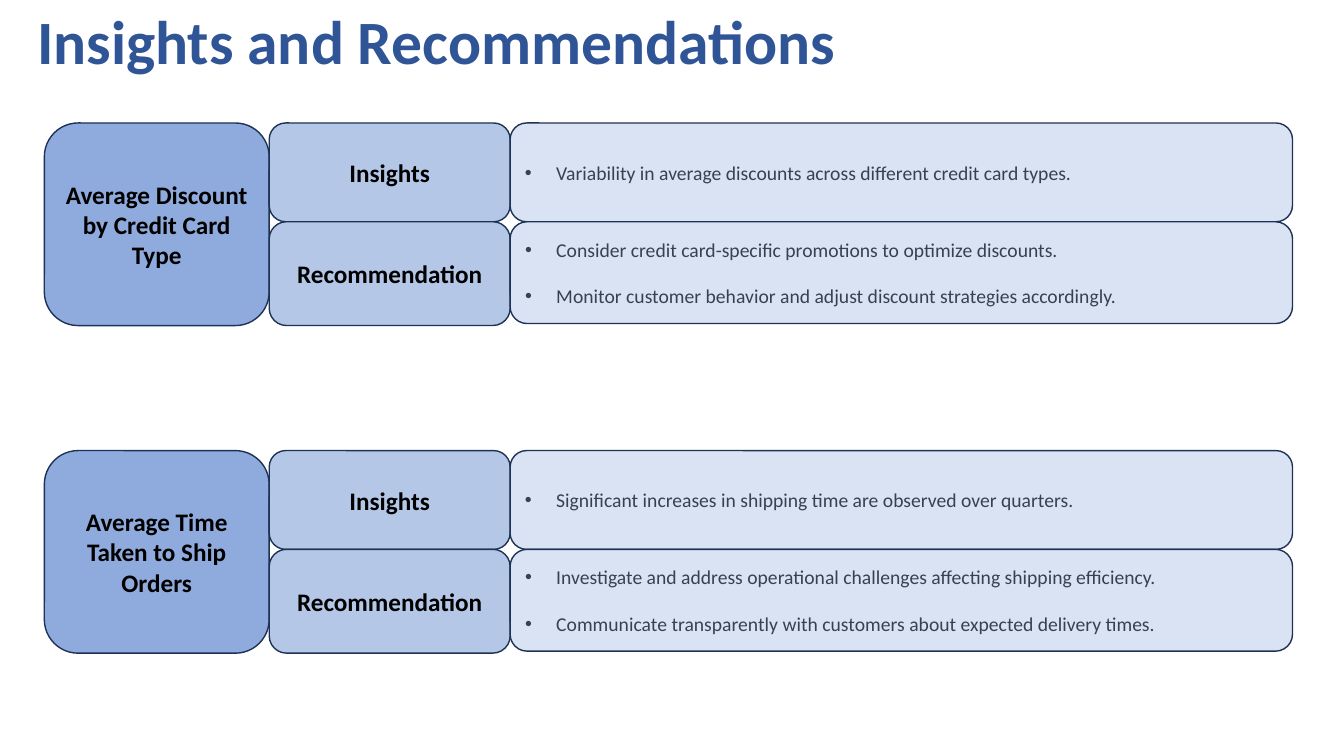
from pptx import Presentation
from pptx import util as u
from pptx.dml.color import RGBColor
from pptx.enum import shapes, text
from pptx.oxml import parse_xml
from pptx.oxml.ns import nsdecls

COLORS = {
    "title": "2F5597",
    "topic": "8FAADC",
    "label": "B4C7E7",
    "detail": "DAE3F3",
    "outline": "1E3256",
    "heading": "000000",
    "body": "374151",
}


def write(box, lines, size, color, bold=False, align=text.PP_ALIGN.LEFT,
          anchor=text.MSO_ANCHOR.MIDDLE, bullet=False, gap=0, spacing=1.0):
    frame = box.text_frame
    frame.word_wrap = True
    frame.vertical_anchor = anchor
    for index, line in enumerate(lines):
        para = frame.paragraphs[0] if index == 0 else frame.add_paragraph()
        if bullet:
            props = para._p.get_or_add_pPr()
            props.set("marL", str(u.Inches(0.31)))
            props.set("indent", str(u.Inches(-0.31)))
            props.append(parse_xml(f'<a:buFont {nsdecls("a")} typeface="Arial"/>'))
            props.append(parse_xml(f'<a:buChar {nsdecls("a")} char="•"/>'))
        para.alignment = align
        para.line_spacing = spacing
        if index:
            para.space_before = u.Pt(gap)
        span = para.add_run()
        span.text = line
        span.font.name = "Calibri"
        span.font.size = u.Pt(size)
        span.font.bold = bold
        span.font.color.rgb = RGBColor.from_string(COLORS[color])


def add_card(left, top, width, height, fill, lines, **style):
    card = page.shapes.add_shape(
        shapes.MSO_SHAPE.ROUNDED_RECTANGLE,
        u.Inches(left), u.Inches(top), u.Inches(width), u.Inches(height))
    card.shadow.inherit = False
    card.fill.solid()
    card.fill.fore_color.rgb = RGBColor.from_string(COLORS[fill])
    card.line.color.rgb = RGBColor.from_string(COLORS["outline"])
    card.line.width = u.Pt(1)
    write(card, lines, **style)


deck = Presentation()
deck.slide_width = u.Inches(13.33)
deck.slide_height = u.Inches(7.5)
page = deck.slides.add_slide(deck.slide_layouts[6])

title = page.shapes.add_textbox(
    u.Inches(0.27), u.Inches(-0.05), u.Inches(10.86), u.Inches(0.87))
write(title, ["Insights and Recommendations"], size=44, color="title",
      bold=True, anchor=text.MSO_ANCHOR.BOTTOM, spacing=0.9)

topics = [
    ("Average Discount by Credit Card Type",
     ["Variability in average discounts across different credit card types."],
     ["Consider credit card-specific promotions to optimize discounts.",
      "Monitor customer behavior and adjust discount strategies accordingly."]),
    ("Average Time Taken to Ship Orders",
     ["Significant increases in shipping time are observed over quarters."],
     ["Investigate and address operational challenges affecting shipping efficiency.",
      "Communicate transparently with customers about expected delivery times."]),
]
heading = dict(size=18, color="heading", bold=True, align=text.PP_ALIGN.CENTER)
body = dict(size=14, color="body", bullet=True, gap=16.5)

for number, (topic, insights, recommendations) in enumerate(topics):
    top = 1.22 + 3.25 * number
    add_card(0.44, top, 2.23, 2.01, "topic", [topic], **heading)
    rows = [
        ("Insights", insights, 0, 0.98, 0.98),
        ("Recommendation", recommendations, 0.98, 1.03, 1.01),
    ]
    for label, details, offset, label_height, detail_height in rows:
        add_card(2.67, top + offset, 2.39, label_height, "label", [label], **heading)
        add_card(5.06, top + offset, 7.76, detail_height, "detail", details, **body)

deck.save("out.pptx")
